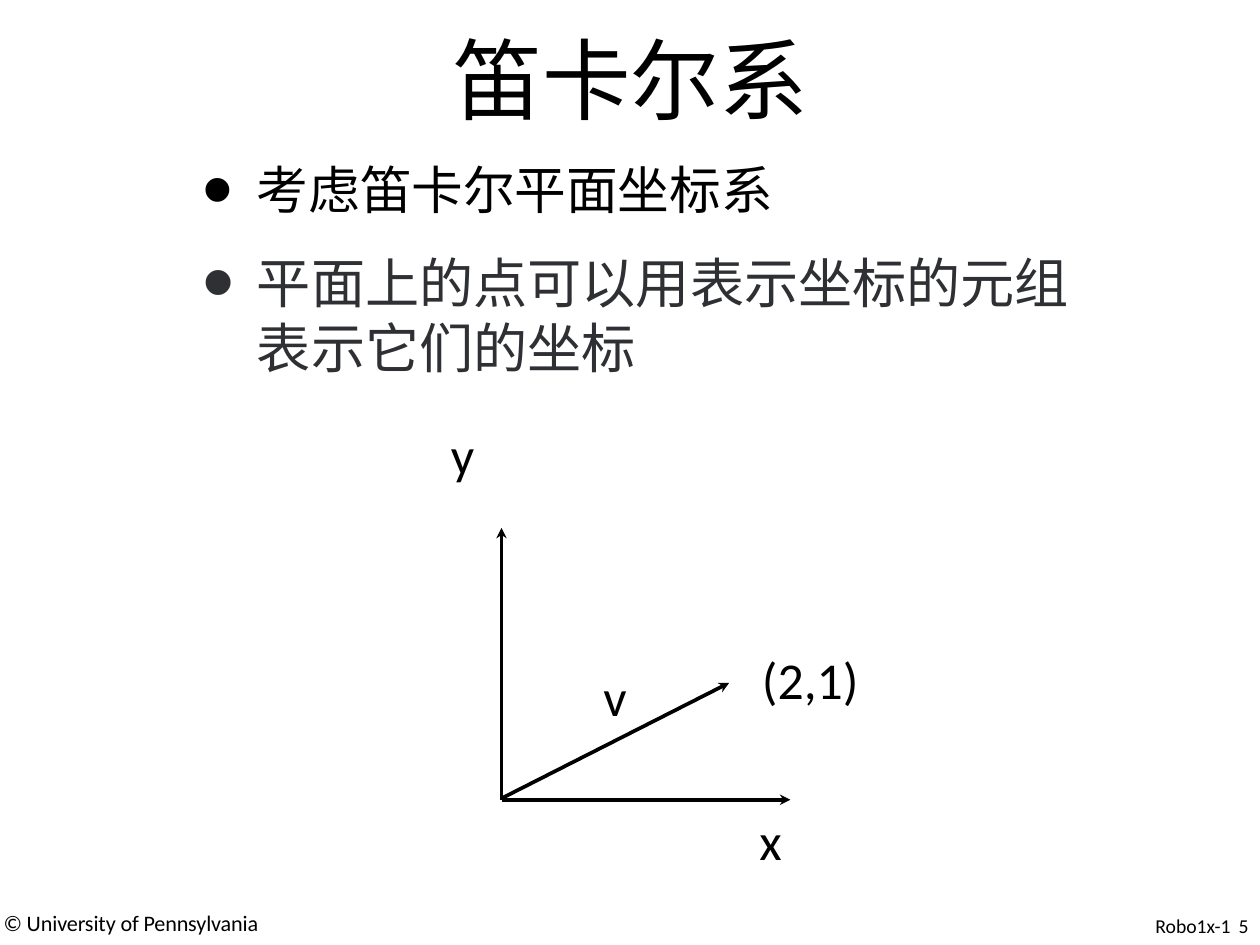
import math
from dataclasses import dataclass

from lxml import etree
from pptx import Presentation
from pptx.dml.color import RGBColor
from pptx.enum import shapes, text
from pptx.oxml import ns
from pptx.util import Inches, Pt


@dataclass(frozen=True)
class Theme:
    ink: RGBColor = RGBColor(0, 0, 0)
    soft_ink: RGBColor = RGBColor(0x2E, 0x30, 0x33)
    font: str = "Calibri"
    alt_font: str = "Arial"
    title: int = 72
    large: int = 44
    body: int = 42
    credit: int = 18
    page_number: int = 16
    line: int = 3


THEME = Theme()
ARROWS = [
    ((5.66, 9.03), (5.66, 5.96)),
    ((5.66, 9.03), (8.92, 9.03)),
    ((5.67, 9.01), (8.23, 7.71)),
]
HEAD_LENGTH, HEAD_NOTCH, HEAD_HALF = 0.12, 0.08, 0.06
LABELS = [
    ("y", 5.09, 4.78, 0.3),
    ("(2,1)", 8.6, 7.31, 1.2),
    ("v", 6.81, 7.51, 0.3),
    ("x", 8.57, 9.13, 0.3),
]
BULLETS = [
    ("考虑笛卡尔平面坐标系", {"spacing": -0.1}),
    (
        "平面上的点可以用表示坐标的元组表示它们的坐标",
        {"size": THEME.large, "font": THEME.alt_font, "color": THEME.soft_ink},
    ),
]


def add_box(page, left, top, width, height):
    """Add an empty wrapping text box without insets and return its frame."""
    box = page.shapes.add_textbox(*map(Inches, (left, top, width, height)))
    frame = box.text_frame
    frame.word_wrap = True
    frame.margin_left = frame.margin_top = 0
    frame.margin_right = frame.margin_bottom = 0
    return frame


def write(para, words, size=THEME.body, font=THEME.font, color=THEME.ink,
          align=text.PP_ALIGN.LEFT, line_spacing=None, spacing=0):
    """Append a span; spacing is the extra points after each letter."""
    para.alignment = align
    if line_spacing:
        para.line_spacing = Pt(line_spacing)
    span = para.add_run()
    span.text = words
    span.font.size = Pt(size)
    span.font.name = font
    span.font.color.rgb = color
    if spacing:
        span._r.get_or_add_rPr().set("spc", str(round(spacing * 100)))


def add_text(page, words, left, top, width, height, **style):
    write(add_box(page, left, top, width, height).paragraphs[0], words, **style)


def set_bullet(para):
    props = para._p.get_or_add_pPr()
    props.set("marL", str(Inches(0.64)))
    props.set("indent", str(Inches(-0.62)))
    etree.SubElement(props, ns.qn("a:buSzPct"), val="170000")
    etree.SubElement(props, ns.qn("a:buFont"), typeface=THEME.alt_font)
    etree.SubElement(props, ns.qn("a:buChar"), char="•")


def add_bullets(page, items, left, top, width, height):
    frame = add_box(page, left, top, width, height)
    for index, (words, style) in enumerate(items):
        para = frame.add_paragraph() if index else frame.paragraphs[0]
        set_bullet(para)
        if index:
            para.space_before = Pt(24)
        write(para, words, **style)


def add_line(page, start, end):
    line = page.shapes.add_connector(
        shapes.MSO_CONNECTOR.STRAIGHT, *map(Inches, (*start, *end)))
    line.line.color.rgb = THEME.ink
    line.line.width = Pt(THEME.line)
    etree.SubElement(line._element.spPr, ns.qn("a:effectLst"))


def add_head(page, points):
    corners = [tuple(map(Inches, point)) for point in points]
    builder = page.shapes.build_freeform(*corners[0])
    builder.add_line_segments(corners[1:], close=True)
    head = builder.convert_to_shape()
    head.shadow.inherit = False
    head.fill.solid()
    head.fill.fore_color.rgb = THEME.ink
    head.line.fill.background()


def add_arrow(page, start, tip):
    """Draw a line up to the notch of a swept-back head."""
    angle = math.atan2(tip[1] - start[1], tip[0] - start[0])
    cos, sin = math.cos(angle), math.sin(angle)

    def behind_tip(back, side):
        return (tip[0] - back * cos - side * sin,
                tip[1] - back * sin + side * cos)

    notch = behind_tip(HEAD_NOTCH, 0)
    add_line(page, start, notch)
    add_head(page, [tip, behind_tip(HEAD_LENGTH, HEAD_HALF), notch,
                    behind_tip(HEAD_LENGTH, -HEAD_HALF)])


def add_page_number(page):
    para = add_box(page, 13.04, 10.36, 1.18, 0.25).paragraphs[0]
    for words, spacing in [("Robo1x-1", 0), (" ", 3), ("5", 0)]:
        write(para, words, size=THEME.page_number, line_spacing=16.1,
              spacing=spacing)


def main():
    deck = Presentation()
    deck.slide_width, deck.slide_height = Inches(14.22), Inches(10.67)
    page = deck.slides.add_slide(deck.slide_layouts[6])

    add_text(page, "笛卡尔系", 1.97, 0.28, 10.3, 1.21,
             size=THEME.title, align=text.PP_ALIGN.CENTER)
    add_bullets(page, BULLETS, 2.26, 1.78, 10.18, 2.6)
    for start, tip in ARROWS:
        add_arrow(page, start, tip)
    for words, left, top, width in LABELS:
        add_text(page, words, left, top, width, 0.74)
    add_text(page, "© University of Pennsylvania", 0.04, 10.32, 3.2, 0.28,
             size=THEME.credit, line_spacing=18.1, spacing=-0.1)
    add_page_number(page)

    deck.save("out.pptx")


if __name__ == "__main__":
    main()
